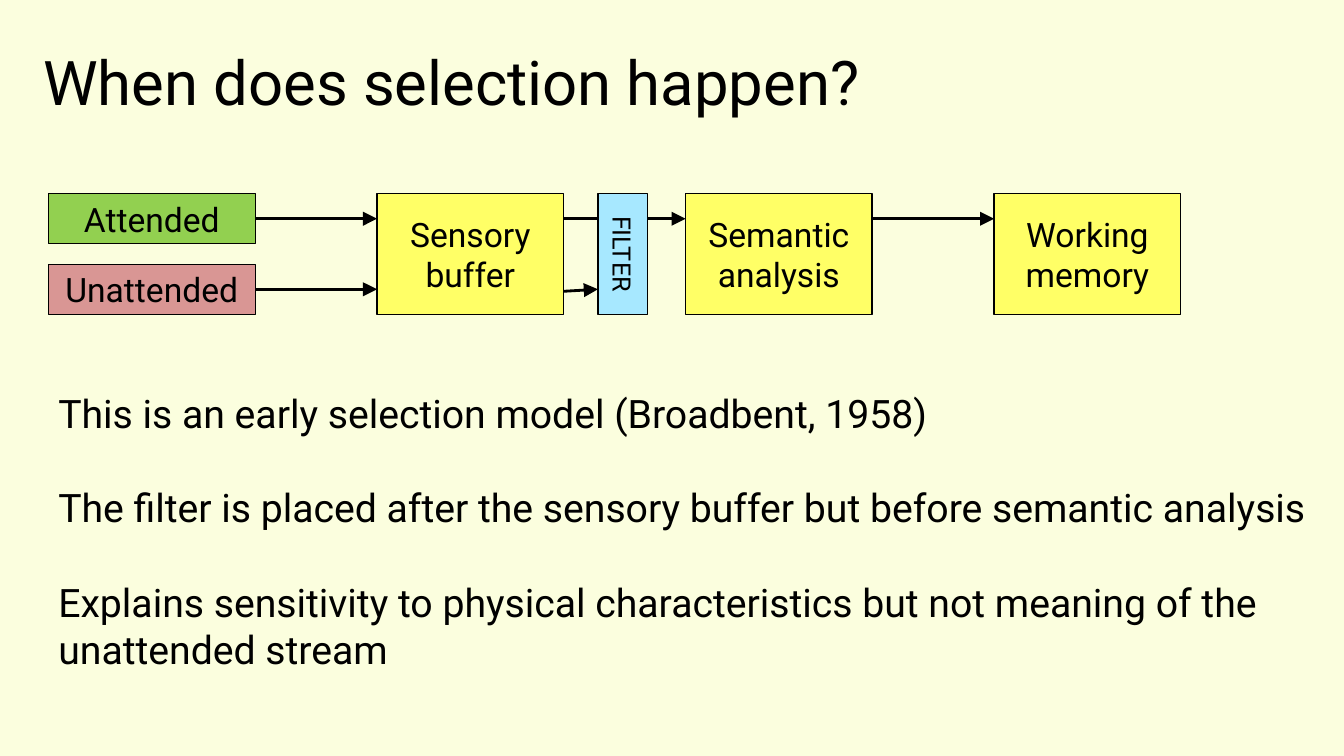
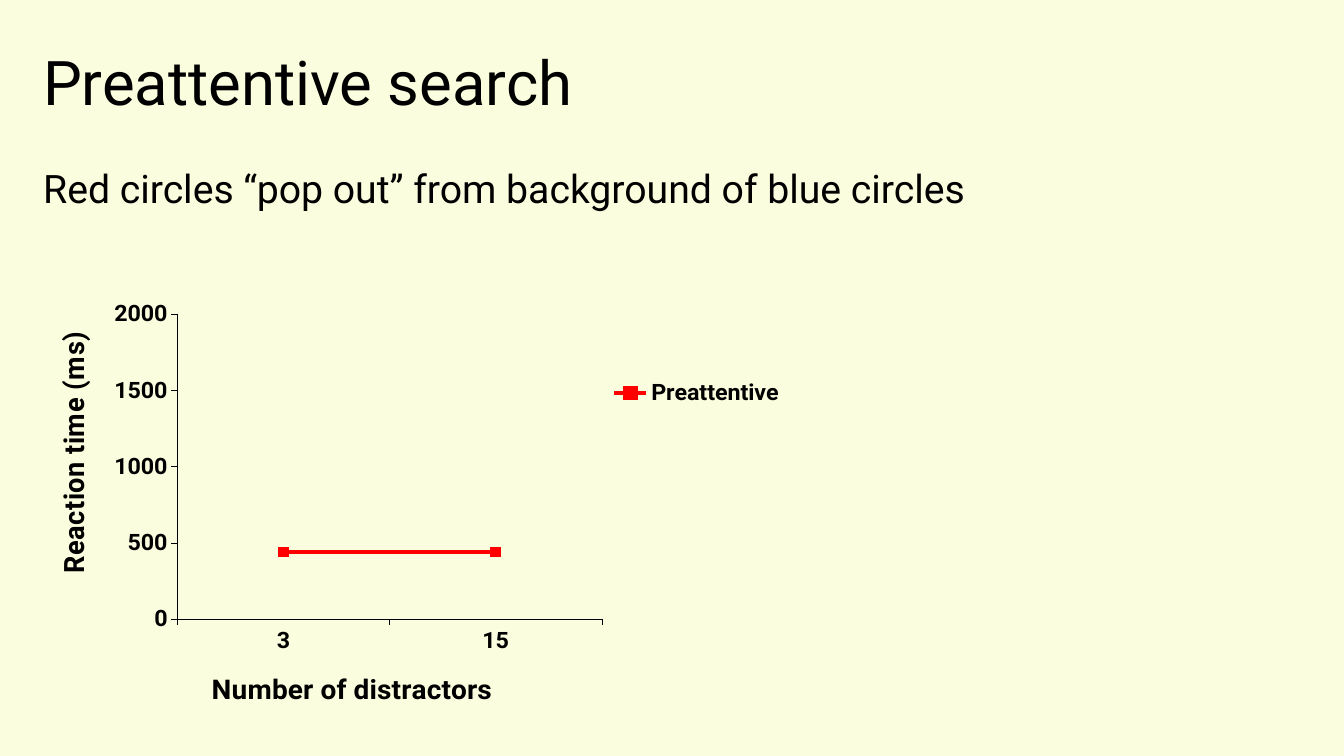
from lxml.etree import SubElement
from pptx import Presentation
from pptx.chart.data import CategoryChartData
from pptx.dml.color import RGBColor
from pptx.enum.chart import XL_CHART_TYPE, XL_LEGEND_POSITION, XL_MARKER_STYLE, XL_TICK_MARK
from pptx.enum.shapes import MSO_CONNECTOR, MSO_SHAPE
from pptx.enum.text import MSO_ANCHOR, PP_ALIGN
from pptx.oxml.ns import qn
from pptx.util import Inches, Pt

FONT = "Roboto"
BACKGROUND, INK, RED = "FBFEDE", "000000", "FF0000"
GREEN, PINK, YELLOW, BLUE = "92D050", "D99694", "FFFF66", "A7E8FF"
CHART_W, CHART_H = 7.76, 4.32
rgb = RGBColor.from_string


def write(shape, text, size, align=PP_ALIGN.LEFT, anchor=MSO_ANCHOR.TOP, gap=0):
    tf = shape.text_frame
    tf.word_wrap = True
    tf.vertical_anchor = anchor
    tf.text = text
    for i, p in enumerate(tf.paragraphs):
        p.alignment = align
        if i and gap:
            p.space_before = Pt(gap)
        for r in p.runs:
            r.font.name = FONT
            r.font.size = Pt(size)
            r.font.color.rgb = rgb(INK)


def place(element, index, x, y, w=None, h=None, inner=False):
    for old in element.findall(qn("c:layout")):
        element.remove(old)
    layout = element.makeelement(qn("c:layout"))
    element.insert(index, layout)
    manual = SubElement(layout, qn("c:manualLayout"))
    settings = {"layoutTarget": "inner"} if inner else {}
    settings.update(xMode="edge", yMode="edge", x=x / CHART_W, y=y / CHART_H)
    if w and h:
        settings.update(w=w / CHART_W, h=h / CHART_H)
    for name, value in settings.items():
        SubElement(manual, qn(f"c:{name}")).set("val", str(value))


prs = Presentation()
prs.slide_width, prs.slide_height = Inches(13.33), Inches(7.5)
fill = prs.slide_master.background.fill
fill.solid()
fill.fore_color.rgb = rgb(BACKGROUND)

slides = []
for title in ("When does selection happen?", "Preattentive search"):
    s = prs.slides.add_slide(prs.slide_layouts[6])
    box = s.shapes.add_textbox(Inches(0.33), Inches(0.08), Inches(11.5), Inches(1.45))
    write(box, title, 44, anchor=MSO_ANCHOR.MIDDLE)
    slides.append(s)
model, search = slides

TOP, STAGE_W, STAGE_H, STEP = 1.92, 1.85, 1.2, 3.06
STAGE_X = [3.74 + i * STEP for i in range(3)]
UPPER, LOWER = 2.17, 2.87
INPUT_X, INPUT_W = 0.48, 2.05
FILTER_X = 5.93

arrows = [(INPUT_X + INPUT_W, y, STAGE_X[0], y) for y in (UPPER, LOWER)]
arrows += [(x + STAGE_W, UPPER, x + STEP, UPPER) for x in STAGE_X[:2]]
arrows.append((STAGE_X[0] + STAGE_W, LOWER + 0.02, FILTER_X, LOWER))
for x1, y1, x2, y2 in arrows:
    arrow = model.shapes.add_connector(
        MSO_CONNECTOR.STRAIGHT, Inches(x1), Inches(y1), Inches(x2), Inches(y2))
    arrow.line.color.rgb = rgb(INK)
    arrow.line.width = Pt(2)
    SubElement(arrow.line._get_or_add_ln(), qn("a:tailEnd"), type="triangle", w="lg", len="lg")
    SubElement(arrow._element.spPr, qn("a:effectLst"))

boxes = [
    ("Attended", INPUT_X, UPPER - 0.25, INPUT_W, 0.5, GREEN, 0.75, 24),
    ("Unattended", INPUT_X, LOWER - 0.25, INPUT_W, 0.5, PINK, 0.75, 24),
]
for label, x in zip(("Sensory buffer", "Semantic analysis", "Working memory"), STAGE_X):
    boxes.append((label, x, TOP, STAGE_W, STAGE_H, YELLOW, 1, 24))
boxes.append(("FILTER", FILTER_X, TOP, 0.49, STAGE_H, BLUE, 1, 18))
for label, x, y, w, h, color, border, size in boxes:
    sp = model.shapes.add_shape(
        MSO_SHAPE.RECTANGLE, Inches(x), Inches(y), Inches(w), Inches(h))
    sp.shadow.inherit = False
    sp.fill.solid()
    sp.fill.fore_color.rgb = rgb(color)
    sp.line.color.rgb = rgb(INK)
    sp.line.width = Pt(border)
    write(sp, label, size, PP_ALIGN.CENTER, MSO_ANCHOR.MIDDLE)
    if label == "FILTER":
        sp.text_frame._txBody.bodyPr.set("vert", "vert")

points = [
    "This is an early selection model (Broadbent, 1958)",
    "The filter is placed after the sensory buffer but before semantic analysis",
    "Explains sensitivity to physical characteristics but not meaning of the unattended stream",
]
box = model.shapes.add_textbox(Inches(0.48), Inches(3.81), Inches(12.62), Inches(3.1))
write(box, "\n".join(points), 28, gap=34)

data = CategoryChartData()
data.categories = ["3", "15"]
data.add_series("Preattentive", (440, 440))
chart = search.shapes.add_chart(
    XL_CHART_TYPE.LINE_MARKERS, Inches(0.33), Inches(2.77),
    Inches(CHART_W), Inches(CHART_H), data).chart
chart.has_title = False
chart.font.name = FONT
chart.font.size = Pt(16.6)
chart.font.bold = True
chart.font.color.rgb = rgb(INK)
place(chart._chartSpace.chart.plotArea, 0, 1.43, 0.36, 4.21, 3.12, inner=True)

axes = [
    (chart.category_axis, "Number of distractors", 1.72, 3.96),
    (chart.value_axis, "Reaction time (ms)", 0.16, 0.56),
]
for axis, title, x, y in axes:
    axis.has_major_gridlines = False
    axis.major_tick_mark = XL_TICK_MARK.OUTSIDE
    axis.minor_tick_mark = XL_TICK_MARK.NONE
    axis.format.line.color.rgb = rgb(INK)
    axis.format.line.width = Pt(0.23)
    axis.axis_title.text_frame.text = title
    r = axis.axis_title.text_frame.paragraphs[0].runs[0]
    r.font.name = FONT
    r.font.size = Pt(20)
    r.font.bold = True
    r.font.color.rgb = rgb(INK)
    place(axis.axis_title._element, 1, x, y)
chart.value_axis.minimum_scale = 0
chart.value_axis.maximum_scale = 2000
chart.value_axis.major_unit = 500

chart.has_legend = True
chart.legend.position = XL_LEGEND_POSITION.RIGHT
chart.legend.include_in_layout = False
place(chart.legend._element, 1, 5.69, 0.99, 1.78, 0.35)

series = chart.plots[0].series[0]
series.smooth = False
series.format.line.color.rgb = rgb(RED)
series.format.line.width = Pt(2.75)
series.marker.style = XL_MARKER_STYLE.SQUARE
series.marker.size = 7
series.marker.format.fill.solid()
series.marker.format.fill.fore_color.rgb = rgb(RED)
series.marker.format.line.color.rgb = rgb(RED)

box = search.shapes.add_textbox(Inches(0.33), Inches(1.58), Inches(9.38), Inches(0.57))
write(box, "Red circles “pop out” from background of blue circles", 28)

prs.save("out.pptx")
